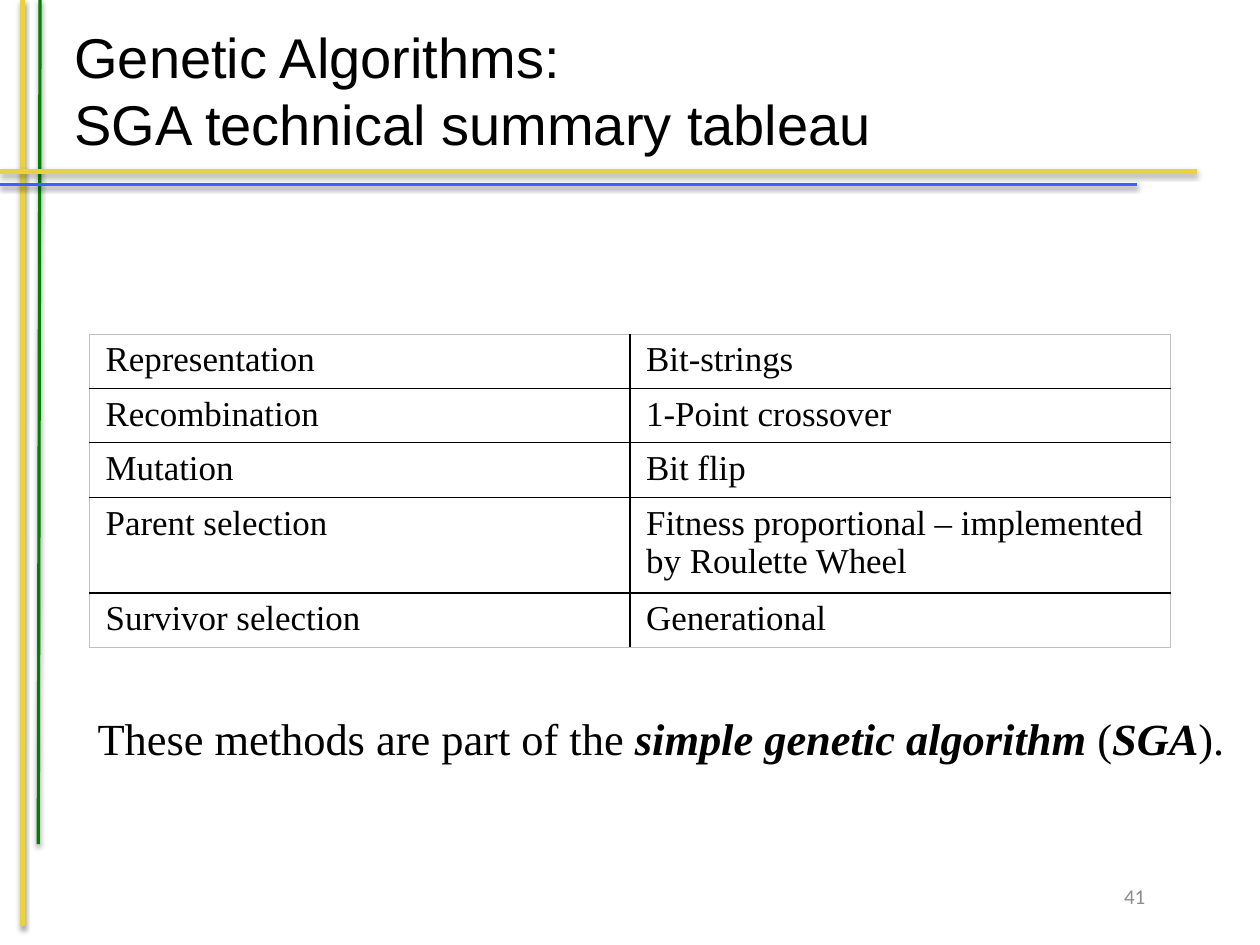
"""Build the slide with the technical summary table of the simple genetic algorithm."""
from lxml.etree import SubElement
from pptx import Presentation
from pptx.dml.color import RGBColor
from pptx.enum.shapes import MSO_CONNECTOR
from pptx.enum.text import MSO_ANCHOR, MSO_AUTO_SIZE, PP_ALIGN
from pptx.oxml.ns import qn
from pptx.util import Cm, Pt

TITLE = "Genetic Algorithms:\vSGA technical summary tableau"
SUMMARY = [
    ("Representation", "Bit-strings"),
    ("Recombination", "1-Point crossover"),
    ("Mutation", "Bit flip"),
    ("Parent selection", "Fitness proportional – implemented by Roulette Wheel"),
    ("Survivor selection", "Generational"),
]
ROW_HEIGHTS = [1.21, 1.21, 1.21, 2.13, 1.21]
COLUMN_WIDTH = 12.01
CLOSING = [
    ("These methods are part of the ", False),
    ("simple genetic algorithm", True),
    (" (", False),
    ("SGA", True),
    (").", False),
]
PAGE_NUMBER = "41"
RULES = [
    (0.5, 0, 0.5, 20.57, "E8D241", 3),
    (0.89, 0, 0.85, 18.76, "008000", 2),
    (0, 3.81, 26.59, 3.81, "E8D241", 3),
    (0, 4.1, 25.26, 4.1, "3366FF", 2),
]
INNER_BORDER = ("000000", 1)
OUTER_BORDER = ("C0C0C0", 0.5)


def color(value):
    return RGBColor.from_string(value)


def format_runs(paragraph, size, font_name, value="000000"):
    for run in paragraph.runs:
        run.font.size = Pt(size)
        run.font.name = font_name
        run.font.color.rgb = color(value)


def add_rule(slide, left, top, right, bottom, value, width):
    rule = slide.shapes.add_connector(
        MSO_CONNECTOR.STRAIGHT, Cm(left), Cm(top), Cm(right), Cm(bottom))
    rule.line.color.rgb = color(value)
    rule.line.width = Pt(width)
    effects = SubElement(rule._element.spPr, qn("a:effectLst"))
    shadow = SubElement(effects, qn("a:outerShdw"), blurRad=str(Pt(3.1)),
                        dist=str(Pt(1.6)), dir="5400000", rotWithShape="0")
    shade = SubElement(shadow, qn("a:srgbClr"), val="000000")
    SubElement(shade, qn("a:alpha"), val="38000")


def set_borders(cell, row, column):
    outer_sides = {
        "L": column == 0,
        "R": column == len(SUMMARY[0]) - 1,
        "T": row == 0,
        "B": row == len(SUMMARY) - 1,
    }
    properties = cell._tc.get_or_add_tcPr()
    for side, outer in outer_sides.items():
        value, width = OUTER_BORDER if outer else INNER_BORDER
        border = SubElement(properties, qn(f"a:ln{side}"), w=str(Pt(width)))
        fill = SubElement(border, qn("a:solidFill"))
        SubElement(fill, qn("a:srgbClr"), val=value)


def add_summary_table(slide):
    columns = len(SUMMARY[0])
    table = slide.shapes.add_table(
        len(SUMMARY), columns, Cm(1.99), Cm(7.42),
        Cm(COLUMN_WIDTH * columns), Cm(sum(ROW_HEIGHTS))).table
    table.first_row = False
    table.horz_banding = False
    for column in table.columns:
        column.width = Cm(COLUMN_WIDTH)
    for row_index, texts in enumerate(SUMMARY):
        table.rows[row_index].height = Cm(ROW_HEIGHTS[row_index])
        for column_index, text in enumerate(texts):
            cell = table.cell(row_index, column_index)
            cell.text = text
            cell.margin_left = cell.margin_right = Cm(0.36)
            cell.margin_top = cell.margin_bottom = Cm(0.15)
            set_borders(cell, row_index, column_index)
            cell.fill.background()
            format_runs(cell.text_frame.paragraphs[0], 22, "Times New Roman")


def add_title(slide):
    title = slide.shapes.title
    title.left, title.top, title.width, title.height = (
        Cm(1.4), Cm(0.23), Cm(25.2), Cm(3.51))
    frame = title.text_frame
    frame.text = TITLE
    frame.auto_size = MSO_AUTO_SIZE.NONE
    frame.vertical_anchor = MSO_ANCHOR.MIDDLE
    paragraph = frame.paragraphs[0]
    paragraph.alignment = PP_ALIGN.LEFT
    format_runs(paragraph, 35.3, "Arial")


def add_text_frame(slide, left, top, width, height):
    frame = slide.shapes.add_textbox(
        Cm(left), Cm(top), Cm(width), Cm(height)).text_frame
    frame.word_wrap = True
    return frame


def add_page_number(slide):
    frame = add_text_frame(slide, 22.8, 19.16, 2.9, 1.52)
    frame.text = PAGE_NUMBER
    frame.vertical_anchor = MSO_ANCHOR.MIDDLE
    paragraph = frame.paragraphs[0]
    paragraph.alignment = PP_ALIGN.RIGHT
    format_runs(paragraph, 13.2, "Calibri", "8C8C8C")


def add_closing(slide):
    frame = add_text_frame(slide, 1.9, 16.1, 26.21, 1.02)
    frame.margin_left = frame.margin_right = Cm(0.27)
    frame.margin_top = frame.margin_bottom = Cm(0.13)
    paragraph = frame.paragraphs[0]
    paragraph.line_spacing = 0.58
    for text, emphasized in CLOSING:
        run = paragraph.add_run()
        run.text = text
        run.font.bold = run.font.italic = emphasized
    format_runs(paragraph, 28, "Times New Roman")


def main():
    presentation = Presentation()
    presentation.slide_width = Cm(28)
    presentation.slide_height = Cm(21)
    slide = presentation.slides.add_slide(presentation.slide_layouts[5])
    for rule in RULES:
        add_rule(slide, *rule)
    add_title(slide)
    add_summary_table(slide)
    add_page_number(slide)
    add_closing(slide)
    presentation.save("out.pptx")


if __name__ == "__main__":
    main()
